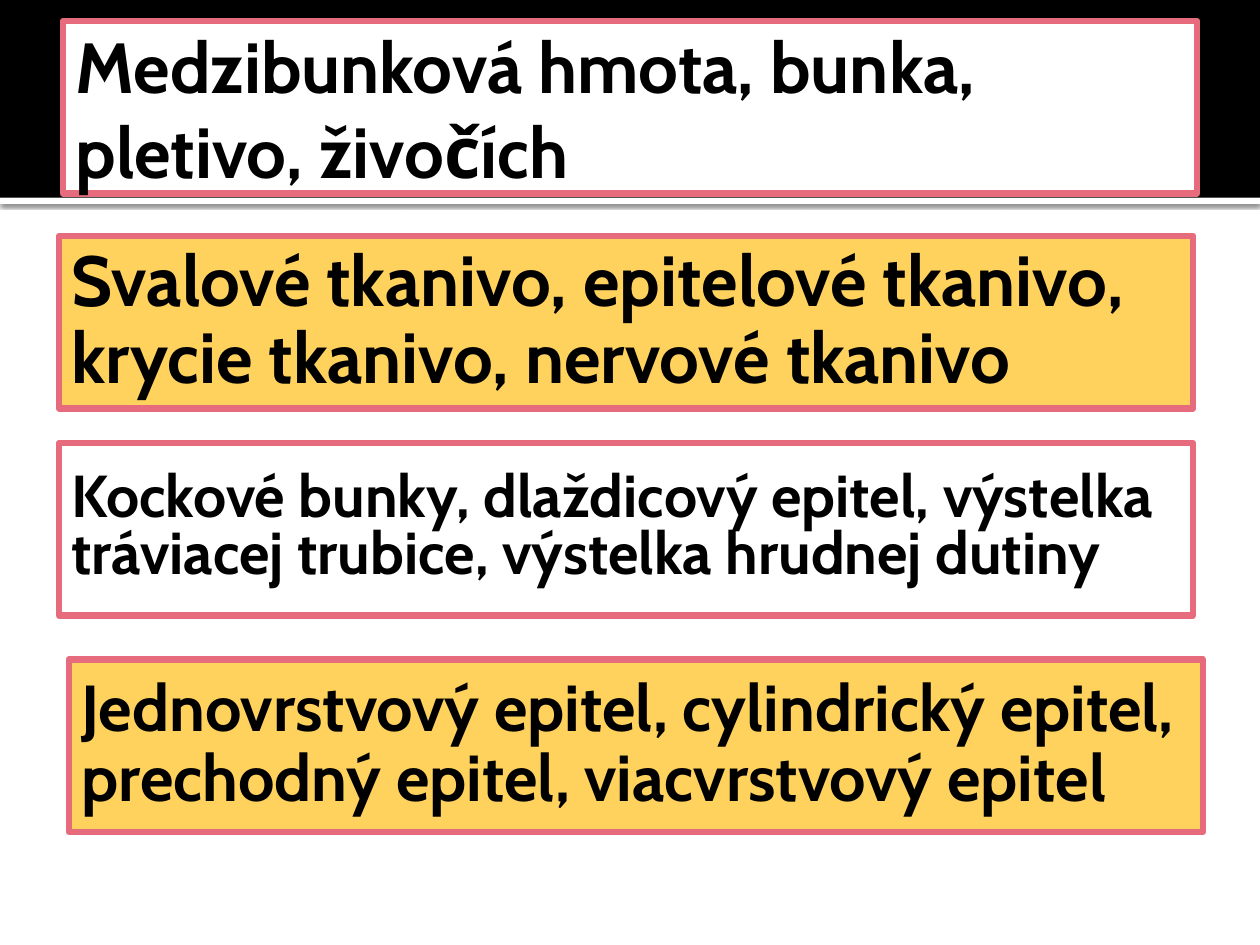
from dataclasses import dataclass

from lxml import etree
from pptx import Presentation
from pptx.dml.color import RGBColor
from pptx.enum.shapes import MSO_SHAPE as Preset
from pptx.enum.text import MSO_ANCHOR as Anchor, MSO_AUTO_SIZE as AutoSize, PP_ALIGN as Align
from pptx.oxml import parse_xml
from pptx.oxml.ns import nsdecls
from pptx.util import Pt


@dataclass(frozen=True)
class Theme:
    font: str = "Cabin"
    black: RGBColor = RGBColor(0x00, 0x00, 0x00)
    white: RGBColor = RGBColor(0xFF, 0xFF, 0xFF)
    yellow: RGBColor = RGBColor(0xFF, 0xD2, 0x5D)
    pink: RGBColor = RGBColor(0xE6, 0x6C, 0x7D)
    border: float = 3.78
    large: float = 40.5
    medium: float = 37.1
    small: float = 33.8


theme = Theme()
BOX_WIDTH, BOX_HEIGHT = 648, 98.6


def add_rectangle(left, top, width, height):
    rectangle = slide.shapes.add_shape(Preset.RECTANGLE, Pt(left), Pt(top), Pt(width), Pt(height))
    rectangle.shadow.inherit = False
    return rectangle


def format_box(box, words, fill, size, spacing):
    box.fill.solid()
    box.fill.fore_color.rgb = fill
    box.line.color.rgb = theme.pink
    box.line.width = Pt(theme.border)
    frame = box.text_frame
    frame.word_wrap = True
    frame.auto_size = AutoSize.NONE
    frame.vertical_anchor = Anchor.MIDDLE
    frame.margin_left = Pt(7.2)
    frame.margin_right = frame.margin_top = frame.margin_bottom = Pt(3.6)
    paragraph = frame.paragraphs[0]
    paragraph.alignment = Align.LEFT
    paragraph.line_spacing = spacing
    run = paragraph.add_run()
    run.text = words
    run.font.name = theme.font
    run.font.size = Pt(size)
    run.font.bold = True
    run.font.color.rgb = theme.black


deck = Presentation()
deck.slide_width, deck.slide_height = Pt(720), Pt(540)
slide = deck.slides.add_slide(deck.slide_layouts[5])
slide.background.fill.solid()
slide.background.fill.fore_color.rgb = theme.white
title = slide.shapes.title

# Header band over a white strip, both behind the title
strip = add_rectangle(0, 113, 720, 3.6)
header = add_rectangle(0, 0, 720, 113)
for band, color in ((strip, theme.white), (header, theme.black)):
    band.fill.solid()
    band.fill.fore_color.rgb = color
    band.line.fill.background()
    title._element.addprevious(band._element)

# Soft shadow below the strip
strip_effects = strip._element.spPr.find("{*}effectLst")
strip_effects.append(parse_xml(
    f'<a:outerShdw {nsdecls("a")} blurRad="{Pt(2.5)}" dist="{Pt(0.8)}" dir="5400000" '
    'algn="t" rotWithShape="0"><a:srgbClr val="000000"><a:alpha val="60000"/>'
    '</a:srgbClr></a:outerShdw>'))

# Title
title.left, title.top = Pt(36), Pt(12)
title.width, title.height = Pt(BOX_WIDTH), Pt(BOX_HEIGHT)
format_box(title, "Medzibunková hmota, bunka, pletivo, živočích", theme.white, theme.large, 1.0)

# Word groups: left, top, words, fill, size, line spacing
word_groups = [
    (33.8, 134.8, "Svalové tkanivo, epitelové tkanivo, krycie tkanivo, nervové tkanivo",
     theme.yellow, theme.large, 0.9),
    (33.8, 253.2, "Kockové bunky, dlaždicový epitel, výstelka tráviacej trubice, "
     "výstelka hrudnej dutiny", theme.white, theme.small, 0.8),
    (39.4, 376.8, "Jednovrstvový epitel, cylindrický epitel, prechodný epitel, "
     "viacvrstvový epitel", theme.yellow, theme.medium, 0.9),
]
for left, top, words, fill, size, spacing in word_groups:
    group = add_rectangle(left, top, BOX_WIDTH, BOX_HEIGHT)
    format_box(group, words, fill, size, spacing)

deck.save("out.pptx")
